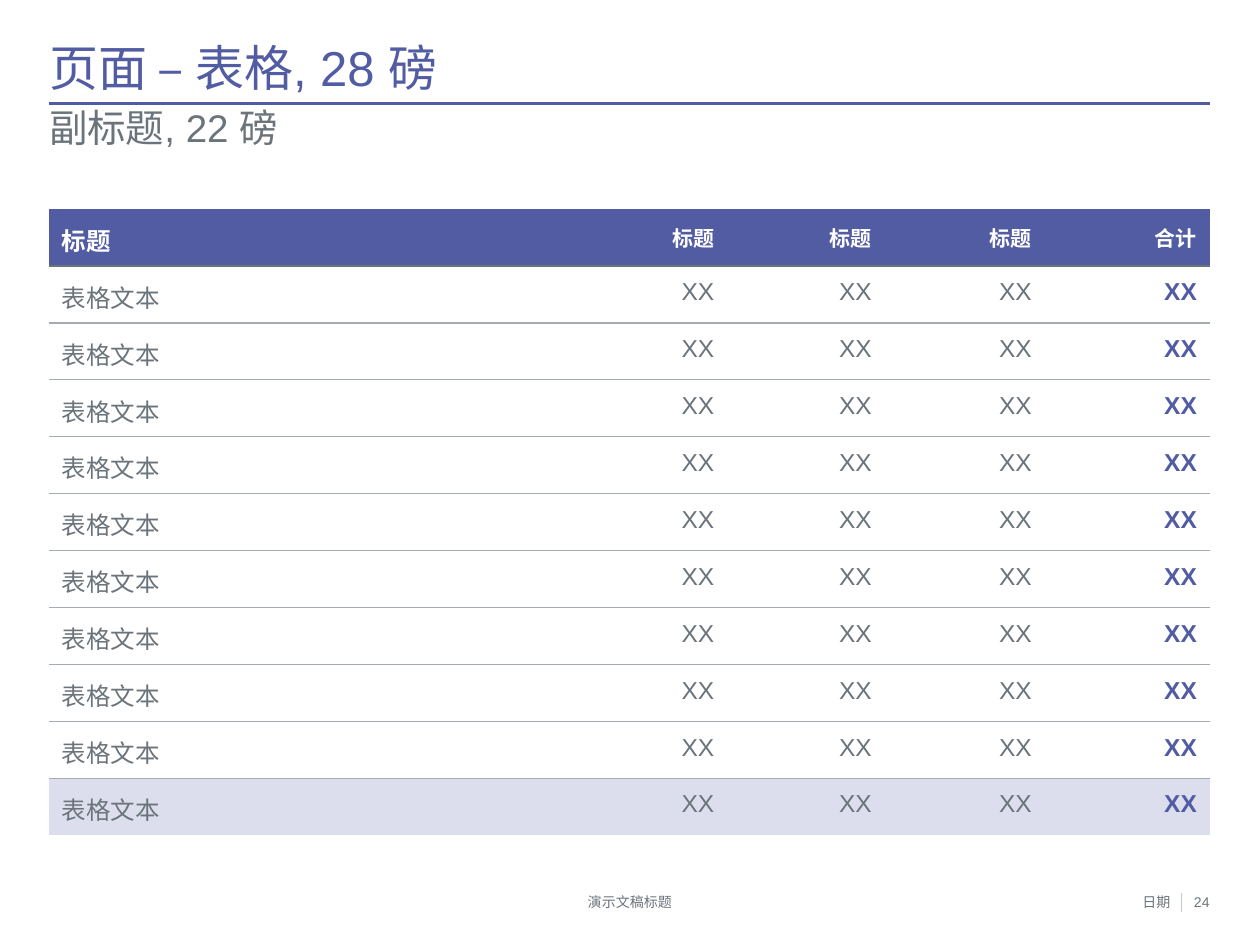
import lxml.etree
import pptx
import pptx.dml.color
import pptx.enum.shapes
import pptx.enum.text
import pptx.oxml.ns
import pptx.util

Inches = pptx.util.Inches
Pt = pptx.util.Pt
ALIGN = pptx.enum.text.PP_ALIGN
ANCHOR = pptx.enum.text.MSO_ANCHOR

# Content
TITLE = "页面 – 表格, 28 磅"
SUBTITLE = "副标题, 22 磅"
FOOTER, DATE, PAGE_NUMBER = "演示文稿标题", "日期", "24"
HEADER = ["标题", "标题", "标题", "标题", "合计"]
BODY = [["表格文本"] + ["XX"] * 4 for _ in range(10)]

THEME = {
    "font": "Arial",
    "accent": "525CA3", "text": "6B747B", "white": "FFFFFF",
    "total": "DCDEED", "rule": "A5ACB1", "divider": "C3C7CB",
    "title": 28, "subtitle": 22, "table": 14, "column_head": 12, "footer": 8,
}

# Layout in inches
LEFT, WIDTH = 0.39, 9.21
RIGHT = LEFT + WIDTH
TABLE_TOP, TABLE_HEIGHT = 1.66, 4.97
COLUMN_WIDTHS = [3.89, 1.49, 1.25, 1.27, 1.31]
FOOTER_TOP, FOOTER_HEIGHT = 7.09, 0.13


def color(name):
    return pptx.dml.color.RGBColor.from_string(THEME[name])


def style_paragraph(para, size, ink, align, bold=False):
    para.alignment = align
    para.font.name = THEME["font"]
    para.font.size = Pt(THEME[size])
    para.font.bold = bold
    para.font.color.rgb = color(ink)


def add_text(page, text, place, size, ink, align, spacing=None, anchor=ANCHOR.TOP):
    box = page.shapes.add_textbox(*(Inches(length) for length in place))
    frame = box.text_frame
    frame.word_wrap = True
    frame.vertical_anchor = anchor
    frame.margin_left = frame.margin_right = frame.margin_top = frame.margin_bottom = 0
    para = frame.paragraphs[0]
    para.text = text
    para.line_spacing = spacing
    style_paragraph(para, size, ink, align)


def add_line(page, x1, y1, x2, y2, ink, weight):
    line = page.shapes.add_connector(
        pptx.enum.shapes.MSO_CONNECTOR.STRAIGHT,
        Inches(x1), Inches(y1), Inches(x2), Inches(y2))
    line.line.color.rgb = color(ink)
    line.line.width = Pt(weight)
    lxml.etree.SubElement(line._element.spPr, pptx.oxml.ns.qn("a:effectLst"))


def set_borders(cell, top, bottom):
    """Each border is (theme colour, points) or None for no line."""
    qn = pptx.oxml.ns.qn
    properties = cell._tc.get_or_add_tcPr()
    sides = [("lnL", None), ("lnR", None), ("lnT", top), ("lnB", bottom)]
    for position, (side, border) in enumerate(sides):
        edge = lxml.etree.Element(qn(f"a:{side}"))
        if border:
            ink, weight = border
            edge.set("w", str(int(Pt(weight))))
            fill = lxml.etree.SubElement(edge, qn("a:solidFill"))
            lxml.etree.SubElement(fill, qn("a:srgbClr"), val=THEME[ink])
        else:
            lxml.etree.SubElement(edge, qn("a:noFill"))
        properties.insert(position, edge)


def add_data_table(page):
    rows = [HEADER] + BODY
    last_row, last_column = len(rows) - 1, len(HEADER) - 1
    table = page.shapes.add_table(
        len(rows), len(HEADER), Inches(LEFT), Inches(TABLE_TOP),
        Inches(WIDTH), Inches(TABLE_HEIGHT)).table
    table.first_row = table.horz_banding = False
    for column, width in zip(table.columns, COLUMN_WIDTHS):
        column.width = Inches(width)
    for row in table.rows:
        row.height = Inches(TABLE_HEIGHT / len(rows))

    # Border below each row; the table has none above or beneath it
    rules = [None, ("text", 1)] + [("rule", 0.75)] * (last_row - 1) + [None]
    fills = {0: "accent", last_row: "total"}
    for r, values in enumerate(rows):
        for c, value in enumerate(values):
            cell = table.cell(r, c)
            cell.margin_left = Inches(0 if c else 0.1)
            cell.margin_right = cell.margin_top = Inches(0.1)
            cell.margin_bottom = Inches(0.05)
            if r in fills:
                cell.fill.solid()
                cell.fill.fore_color.rgb = color(fills[r])
            else:
                cell.fill.background()
            set_borders(cell, rules[r], rules[r + 1])

            is_total = c == last_column
            ink = "white" if r == 0 else "accent" if is_total else "text"
            size = "column_head" if r == 0 and c else "table"
            para = cell.text_frame.paragraphs[0]
            para.text = value
            style_paragraph(para, size, ink, ALIGN.RIGHT if c else ALIGN.JUSTIFY,
                            bold=r == 0 or is_total)


def main():
    deck = pptx.Presentation()
    deck.slide_width, deck.slide_height = Inches(10), Inches(7.5)
    page = deck.slides.add_slide(deck.slide_layouts[6])

    # Heading
    add_line(page, LEFT, 0.82, RIGHT, 0.82, "accent", 1.5)
    add_text(page, TITLE, (LEFT, 0.35, WIDTH, 0.42), "title", "accent",
             ALIGN.JUSTIFY, 0.9, ANCHOR.MIDDLE)
    add_text(page, SUBTITLE, (LEFT, 0.87, WIDTH, 0.51), "subtitle", "text",
             ALIGN.JUSTIFY, 0.9)

    add_data_table(page)

    # Footer
    add_line(page, 9.38, FOOTER_TOP, 9.38, 7.24, "divider", 0.5)
    for text, left, width, align in [
        (FOOTER, 1.37, 7.26, ALIGN.CENTER),
        (DATE, 8.44, 0.85, ALIGN.RIGHT),
        (PAGE_NUMBER, 9.26, 0.34, ALIGN.RIGHT),
    ]:
        add_text(page, text, (left, FOOTER_TOP, width, FOOTER_HEIGHT),
                 "footer", "text", align)

    deck.save("out.pptx")


if __name__ == "__main__":
    main()
